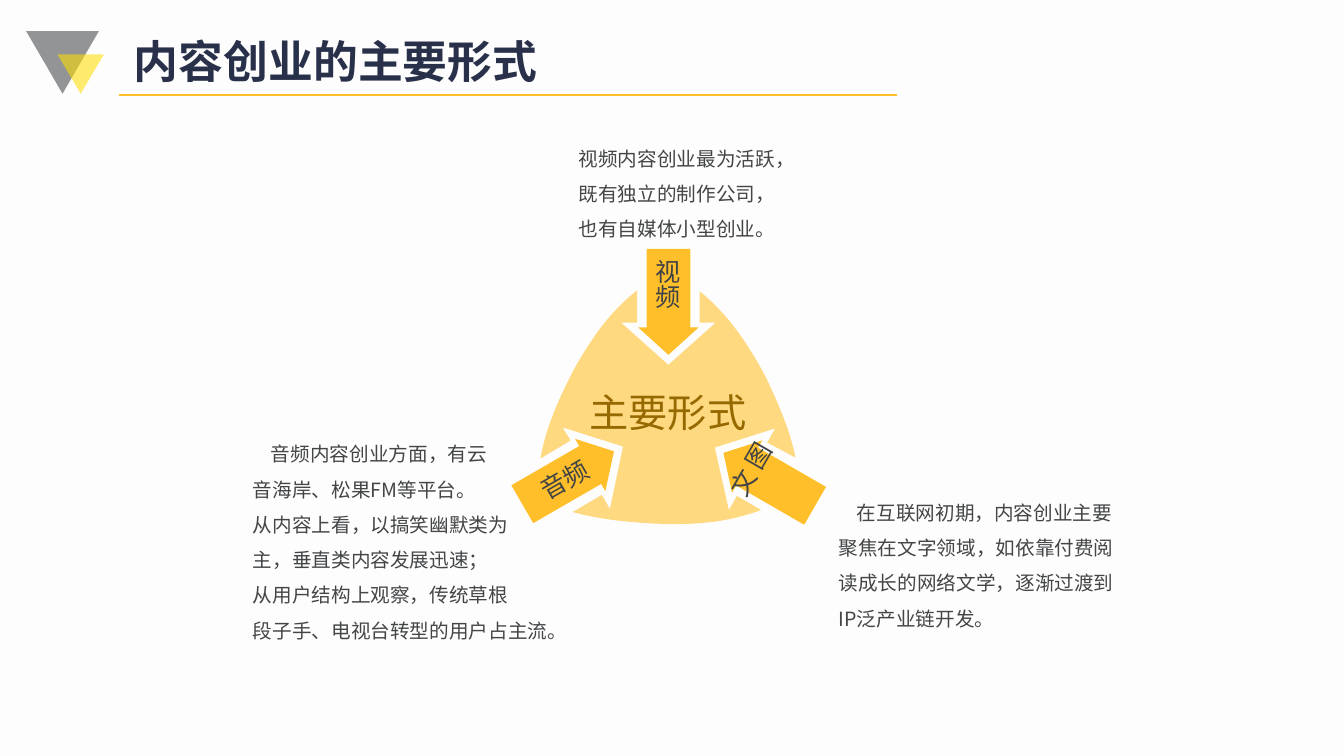
from lxml.etree import SubElement
from pptx import Presentation
from pptx.dml.color import RGBColor
from pptx.enum.shapes import MSO_CONNECTOR as CONNECTOR, MSO_SHAPE as SHAPE
from pptx.enum.text import MSO_ANCHOR as ANCHOR, PP_ALIGN as ALIGN
from pptx.oxml.ns import qn
from pptx.util import Inches, Pt

FONT = "Noto Sans CJK SC"
COLORS = {
    "paper": "FDFDFD",
    "gray": "434547",
    "yellow": "FFDE01",
    "amber": "FFBF2B",
    "pale": "FFD980",
    "brown": "956800",
    "label": "414345",
    "navy": "293049",
}

HUB_UNITS = 100
HUB_START = (96, 0)
HUB_SEGMENTS = [
    [(96, 32)], [(80, 32)], [(127, 74)], [(174, 32)], [(158, 32)], [(158, 1)],
    [(183, 21), (205, 50), (225, 89)],
    [(237, 115), (248, 140), (253, 166)],
    [(225, 151)], [(233, 137)], [(173, 156)], [(187, 218)],
    [(195, 204)], [(219, 218)],
    [(191, 228), (167, 232), (129, 232)],
    [(93, 231), (62, 228), (32, 220)],
    [(61, 203)], [(69, 217)], [(82, 155)], [(22, 136)], [(30, 149)], [(0, 167)],
    [(5, 140), (14, 116), (33, 79)],
    [(50, 49), (68, 22), (96, 0)],
]

ARROWS = [
    (SHAPE.DOWN_ARROW, (6.33, 2.47, 0.6, 1.05), 0, "视频", (0.1, 0.05, 0.07, 0.05)),
    (SHAPE.UP_ARROW, (7.33, 4.23, 0.6, 1.05), 300, "图文", (0.1, 0, 0.07, 0.45)),
    (SHAPE.RIGHT_ARROW, (5.11, 4.44, 1.05, 0.6), 330, "音频", (0.12, 0, 0, 0)),
]

NOTES = [
    ((5.64, 1.17, 2.51, 1.39), 0,
     ["视频内容创业最为活跃，", "既有独立的制作公司，", "也有自媒体小型创业。"]),
    ((8.22, 4.75, 3.2, 1.6), 0.18,
     ["在互联网初期，内容创业主要", "聚焦在文字领域，如依靠付费阅",
      "读成长的网络文学，逐渐过渡到", "IP泛产业链开发。"]),
    ((2.41, 4.32, 3.23, 2), 0.18,
     ["音频内容创业方面，有云", "音海岸、松果FM等平台。", "从内容上看，以搞笑幽默类为",
      "主，垂直类内容发展迅速；", "从用户结构上观察，传统草根", "段子手、电视台转型的用户占主流。"]),
]


def rgb(name):
    return RGBColor.from_string(COLORS[name])


def paint(shape, color, alpha=None):
    shape.shadow.inherit = False
    shape.line.fill.background()
    shape.fill.solid()
    shape.fill.fore_color.rgb = rgb(color)
    if alpha:
        tint = shape.fill._xPr.find(qn("a:solidFill"))[0]
        SubElement(tint, qn("a:alpha"), val=str(alpha * 1000))


def write(shape, lines, size, color, align=ALIGN.LEFT, spacing=1.0,
          insets=(0.1, 0.05, 0.1, 0.05), wrap=True, bold=False):
    frame = shape.text_frame
    frame.text = "\n".join(lines)
    frame.word_wrap = wrap
    frame.vertical_anchor = ANCHOR.MIDDLE
    (frame.margin_left, frame.margin_top,
     frame.margin_right, frame.margin_bottom) = map(Inches, insets)
    for paragraph in frame.paragraphs:
        paragraph.alignment = align
        paragraph.line_spacing = spacing
        for run in paragraph.runs:
            run.font.size = Pt(size)
            run.font.bold = bold
            run.font.name = FONT
            run.font.color.rgb = rgb(color)
            SubElement(run.font._element, qn("a:ea"), typeface=FONT)
    return frame


def add_header(slide, left, top):
    shapes = slide.shapes
    for dx, dy, width, height, color in [(0, 0, 0.72, 0.62, "gray"),
                                         (0.31, 0.23, 0.46, 0.39, "yellow")]:
        triangle = shapes.add_shape(
            SHAPE.ISOSCELES_TRIANGLE,
            *map(Inches, (left + dx, top + dy, width, height)))
        triangle.rotation = 180
        paint(triangle, color, 57)
    title = shapes.add_textbox(
        *map(Inches, (left + 0.97, top - 0.11, 11.35, 0.87)))
    write(title, ["内容创业的主要形式"], 32, "navy", spacing=0.9, bold=True)
    rule = shapes.add_connector(
        CONNECTOR.STRAIGHT,
        *map(Inches, (left + 0.92, top + 0.63, left + 8.64, top + 0.63)))
    rule.line.color.rgb = rgb("amber")
    rule.line.width = Pt(1.5)
    SubElement(rule._element.spPr, qn("a:effectLst"))


def add_hub(slide, left, top):
    builder = slide.shapes.build_freeform(
        *HUB_START, scale=Inches(1) / HUB_UNITS)
    builder.add_line_segments(
        [point for segment in HUB_SEGMENTS for point in segment], close=True)
    hub = builder.convert_to_shape(Inches(left), Inches(top))
    steps = iter(list(hub._element.iter(qn("a:lnTo"))))
    for segment in HUB_SEGMENTS:
        group = [next(steps) for _ in segment]
        if len(group) == 3:
            curve = group[0].makeelement(qn("a:cubicBezTo"))
            group[0].addprevious(curve)
            for step in group:
                curve.append(step[0])
                step.getparent().remove(step)
    paint(hub, "pale")
    write(hub, ["主要形式"], 28, "brown", ALIGN.CENTER, 1.2, (0, 0, 0, 0))


def add_arrow(slide, kind, box, rotation, label, insets):
    arrow = slide.shapes.add_shape(kind, *map(Inches, box))
    arrow.rotation = rotation
    arrow.adjustments[0] = 0.722
    arrow.adjustments[1] = 0.453
    paint(arrow, "amber")
    frame = write(arrow, [label], 18, "label", ALIGN.CENTER, insets=insets)
    if kind != SHAPE.RIGHT_ARROW:
        frame._txBody.bodyPr.set("vert", "eaVert")


def add_note(slide, box, indent, lines):
    note = slide.shapes.add_textbox(*map(Inches, box))
    frame = write(note, lines, 14, "gray", spacing=1.5, wrap=False)
    if indent:
        opening = frame.paragraphs[0]._p.get_or_add_pPr()
        opening.set("marL", "0")
        opening.set("indent", str(Inches(indent)))


def main():
    deck = Presentation()
    deck.slide_width = Inches(13.33)
    deck.slide_height = Inches(7.5)
    slide = deck.slides.add_slide(deck.slide_layouts[6])
    slide.background.fill.solid()
    slide.background.fill.fore_color.rgb = rgb("paper")
    add_header(slide, 0.26, 0.31)
    add_hub(slide, 5.36, 2.88)
    for arrow in ARROWS:
        add_arrow(slide, *arrow)
    for note in NOTES:
        add_note(slide, *note)
    deck.save("out.pptx")


if __name__ == "__main__":
    main()
